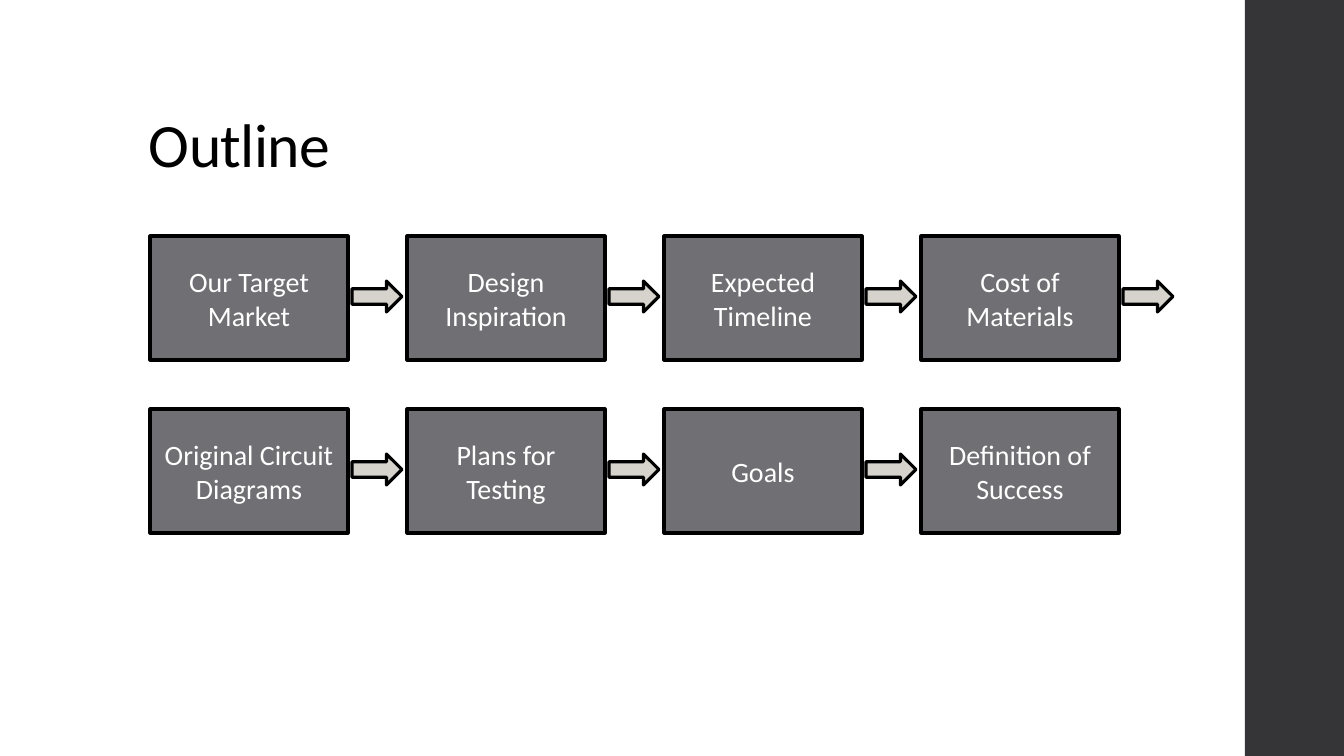
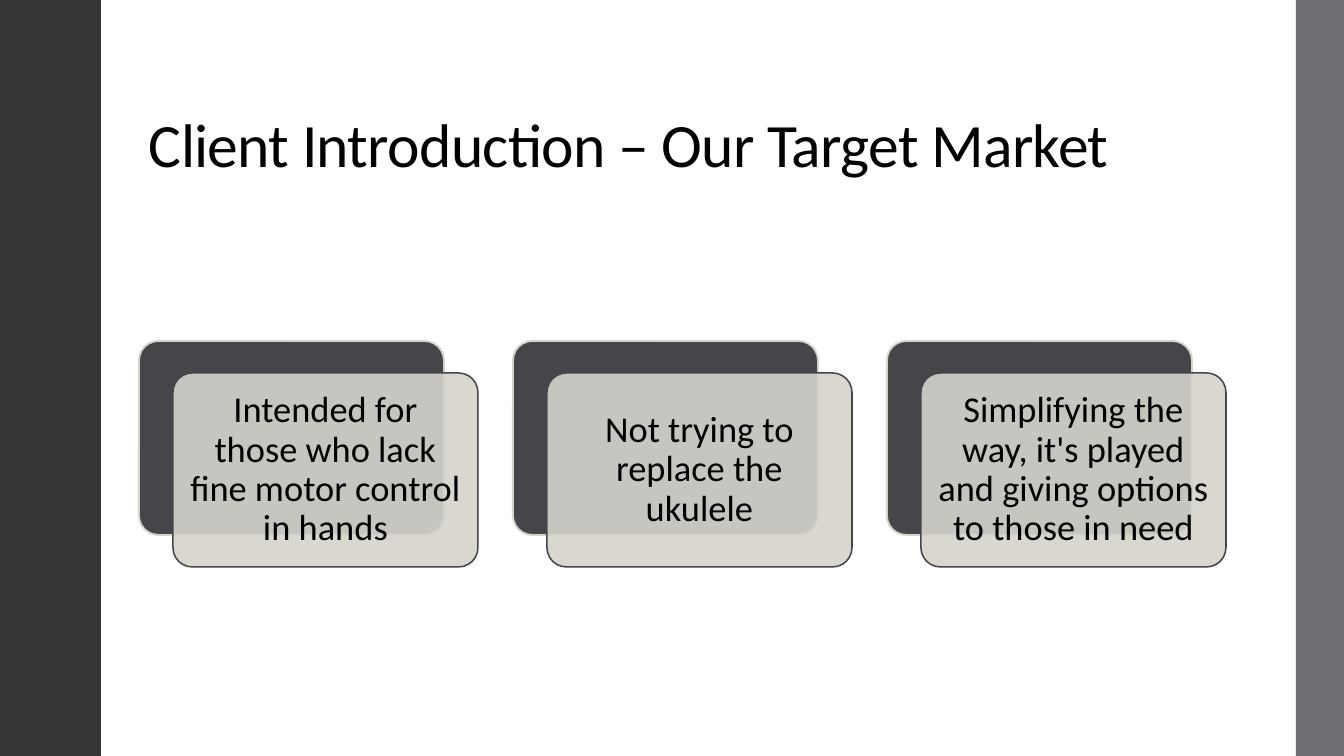
from collections import namedtuple

from pptx import Presentation
from pptx.dml.color import RGBColor
from pptx.enum import shapes, text
from pptx.oxml.ns import qn
from pptx.util import Emu, Pt
from lxml import etree

SLIDE_WIDTH, SLIDE_HEIGHT = 1344, 756
EMU_PER_PX = 914400 / 100.8

WHITE = RGBColor(0xFF, 0xFF, 0xFF)
BLACK = RGBColor(0x00, 0x00, 0x00)
CHARCOAL = RGBColor(0x35, 0x35, 0x37)
SLATE = RGBColor(0x46, 0x46, 0x4A)
GRAY = RGBColor(0x6F, 0x6F, 0x74)
STONE = RGBColor(0xD6, 0xD3, 0xCC)
FONT = "Calibri"

Box = namedtuple("Box", "left top width height")

OUTLINE_ROWS = [
    ["Our Target Market", "Design Inspiration", "Expected Timeline", "Cost of Materials"],
    ["Original Circuit Diagrams", "Plans for Testing", "Goals", "Definition of Success"],
]
MARKET_POINTS = [
    "Intended for those who lack fine motor control in hands",
    "Not trying to replace the ukulele",
    "Simplifying the way, it's played and giving options to those in need",
]


def px(length):
    return Emu(round(length * EMU_PER_PX))


def place(box):
    return [px(length) for length in box]


def add_block(slide, kind, box, fill, line=None, line_width=0):
    shape = slide.shapes.add_shape(kind, *place(box))
    shape.shadow.inherit = False
    shape.fill.solid()
    shape.fill.fore_color.rgb = fill
    if line is None:
        shape.line.fill.background()
    else:
        shape.line.color.rgb = line
        shape.line.width = Pt(line_width)
    return shape


def write(shape, words, size, color, align, anchor, line_spacing=1.0):
    frame = shape.text_frame
    frame.word_wrap = True
    frame.vertical_anchor = anchor
    paragraph = frame.paragraphs[0]
    paragraph.text = words
    paragraph.alignment = align
    paragraph.line_spacing = line_spacing
    paragraph.font.name = FONT
    paragraph.font.size = Pt(size)
    paragraph.font.color.rgb = color
    return paragraph


def add_title(slide, words):
    shape = slide.shapes.add_textbox(*place(Box(139, 40, 1087, 146)))
    paragraph = write(shape, words, 44, BLACK, text.PP_ALIGN.LEFT,
                      text.MSO_ANCHOR.BOTTOM, 0.9)
    # Slightly tightened letter spacing
    paragraph._p.pPr.find(qn("a:defRPr")).set("spc", "-50")


def add_band(slide, left, width, color):
    add_block(slide, shapes.MSO_SHAPE.RECTANGLE, Box(left, 0, width, SLIDE_HEIGHT), color)


def add_step(slide, box, words, has_arrow):
    step = add_block(slide, shapes.MSO_SHAPE.RECTANGLE, box, GRAY, BLACK, 2.25)
    write(step, words, 20, WHITE, text.PP_ALIGN.CENTER, text.MSO_ANCHOR.MIDDLE)
    if has_arrow:
        arrow_box = Box(box.left + box.width + 4, box.top + 45, 50, 31)
        add_block(slide, shapes.MSO_SHAPE.RIGHT_ARROW, arrow_box, STONE, BLACK, 2.25)


def add_card(slide, box, words):
    """Two overlapping rounded panels; the front one carries the text."""
    shift_x, shift_y = 34, 32
    front_box = box._replace(left=box.left + shift_x, top=box.top + shift_y)
    rounded = shapes.MSO_SHAPE.ROUNDED_RECTANGLE
    back = add_block(slide, rounded, box, SLATE, STONE, 1.35)
    front = add_block(slide, rounded, front_box, STONE, SLATE, 1.1)
    for panel in (back, front):
        panel.adjustments[0] = 0.1

    # Let the back panel show through
    fill_color = front._element.spPr.find(qn("a:solidFill"))[0]
    etree.SubElement(fill_color, qn("a:alpha")).set("val", "90000")

    frame = front.text_frame
    frame.margin_left = frame.margin_right = px(11)
    frame.margin_top = frame.margin_bottom = px(11)
    write(front, words, 26, BLACK, text.PP_ALIGN.CENTER, text.MSO_ANCHOR.MIDDLE, 0.9)


def build_outline(slide, area):
    add_band(slide, 1245, SLIDE_WIDTH - 1245, CHARCOAL)
    add_title(slide, "Outline")
    step_width, step_height, column_pitch, row_pitch = 198, 124, 257, 173
    for row, steps in enumerate(OUTLINE_ROWS):
        for column, words in enumerate(steps):
            box = Box(area.left + column * column_pitch, area.top + row * row_pitch,
                      step_width, step_height)
            # Every step but the very last leads on to another
            is_last = row == len(OUTLINE_ROWS) - 1 and column == len(steps) - 1
            add_step(slide, box, words, not is_last)


def build_market(slide, area):
    add_band(slide, 0, 101, CHARCOAL)
    add_band(slide, 1296, SLIDE_WIDTH - 1296, GRAY)
    add_title(slide, "Client Introduction – Our Target Market")
    card_width, card_height, pitch = 305, 194, 374
    for column, words in enumerate(MARKET_POINTS):
        box = Box(area.left + column * pitch, area.top, card_width, card_height)
        add_card(slide, box, words)


def main():
    presentation = Presentation()
    presentation.slide_width = px(SLIDE_WIDTH)
    presentation.slide_height = px(SLIDE_HEIGHT)
    blank = presentation.slide_layouts[6]
    build_outline(presentation.slides.add_slide(blank), Box(150, 236, 1024, 297))
    build_market(presentation.slides.add_slide(blank), Box(139, 341, 1087, 226))
    presentation.save("out.pptx")


if __name__ == "__main__":
    main()
